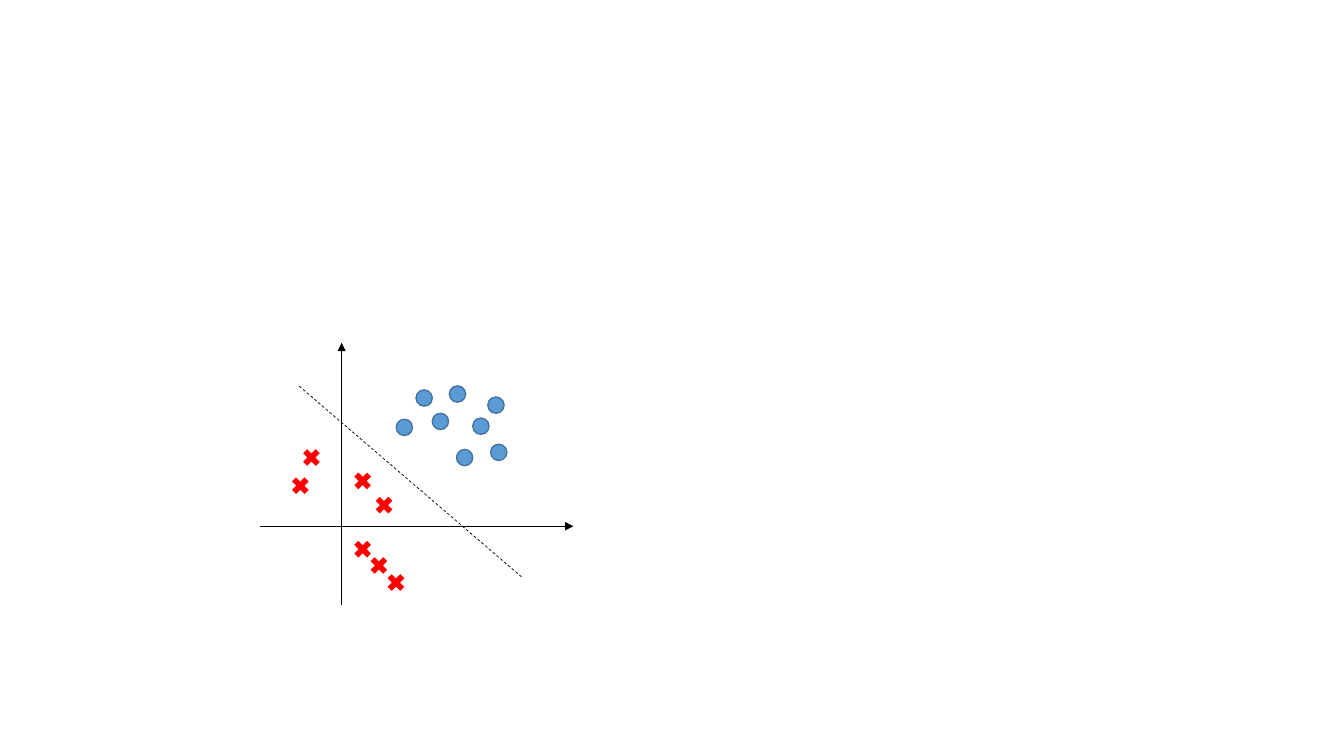
"""Build a slide with two point classes split by a dashed linear boundary."""
from dataclasses import dataclass

from pptx import Presentation, util as u
from pptx.dml.color import RGBColor
from pptx.enum import dml, shapes
from pptx.oxml import ns, xmlchemy


@dataclass(frozen=True)
class Theme:
    """Colours and line widths of the slide."""
    ink: RGBColor = RGBColor(0x00, 0x00, 0x00)
    cross: RGBColor = RGBColor(0xFF, 0x00, 0x00)
    dot: RGBColor = RGBColor(0x5B, 0x9B, 0xD5)
    dot_edge: RGBColor = RGBColor(0x43, 0x73, 0x9E)
    thin: float = 0.5
    edge: float = 1


THEME = Theme()
CROSS_SIZE = 0.61
DOT_SIZE = 0.41
CROSSES = [(9.14, 13.84), (9.55, 14.25), (9.98, 14.68), (7.57, 12.24),
           (7.85, 11.53), (9.14, 12.12), (9.68, 12.73)]
DOTS = [(10.19, 10.77), (10.69, 10.03), (11.1, 10.62), (11.71, 11.53),
        (11.53, 9.93), (12.12, 10.74), (12.5, 10.21), (12.57, 11.4)]


def add_line(page, start, end):
    """Draw a thin straight line between two points given in centimetres."""
    line = page.shapes.add_connector(
        shapes.MSO_CONNECTOR.STRAIGHT, *map(u.Cm, start + end))
    line.line.color.rgb = THEME.ink
    line.line.width = u.Pt(THEME.thin)
    line.element.spPr.append(xmlchemy.OxmlElement("a:effectLst"))
    return line


def add_axis(page, start, end):
    """Draw an axis with a triangular arrowhead at its end."""
    axis = add_line(page, start, end)
    arrow = xmlchemy.OxmlElement("a:tailEnd")
    arrow.set("type", "triangle")
    axis.element.spPr.find(ns.qn("a:ln")).append(arrow)


def add_boundary(page, start, end):
    """Draw the dashed line between the two classes."""
    add_line(page, start, end).line.dash_style = dml.MSO_LINE.DASH


def add_marker(page, kind, centre, size, fill, edge=None):
    """Place a data point around its centre."""
    x, y = centre
    marker = page.shapes.add_shape(
        kind, u.Cm(x - size / 2), u.Cm(y - size / 2), u.Cm(size), u.Cm(size))
    marker.shadow.inherit = False
    marker.fill.solid()
    marker.fill.fore_color.rgb = fill
    if edge is None:
        marker.line.fill.background()
    else:
        marker.line.color.rgb = edge
        marker.line.width = u.Pt(THEME.edge)


def main():
    """Assemble the plot and save the deck."""
    deck = Presentation()
    deck.slide_width, deck.slide_height = u.Cm(33.87), u.Cm(19.05)
    page = deck.slides.add_slide(deck.slide_layouts.get_by_name("Blank"))
    add_axis(page, (8.61, 15.24), (8.61, 8.64))
    add_axis(page, (6.55, 13.26), (14.45, 13.26))
    for centre in CROSSES:
        add_marker(page, shapes.MSO_SHAPE.MATH_MULTIPLY, centre, CROSS_SIZE, THEME.cross)
    for centre in DOTS:
        add_marker(page, shapes.MSO_SHAPE.OVAL, centre, DOT_SIZE, THEME.dot, THEME.dot_edge)
    add_boundary(page, (7.54, 9.73), (13.16, 14.55))
    deck.save("out.pptx")


if __name__ == "__main__":
    main()
